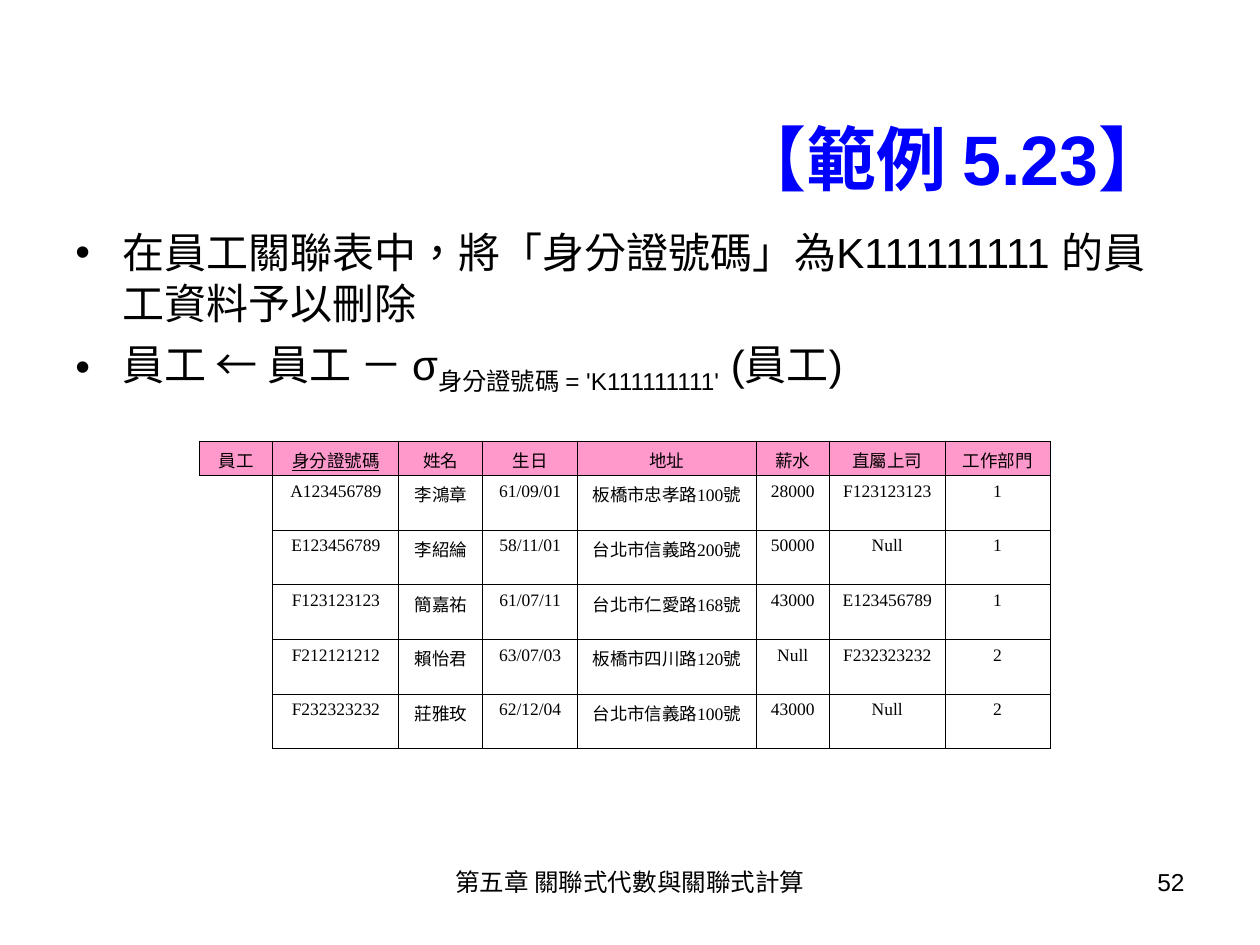
from lxml import etree
from pptx import Presentation
from pptx.dml.color import RGBColor
from pptx.enum.lang import MSO_LANGUAGE_ID
from pptx.enum.text import MSO_ANCHOR, MSO_AUTO_SIZE, PP_ALIGN
from pptx.oxml.ns import qn
from pptx.util import Cm, Pt

CENTER, RIGHT = PP_ALIGN.CENTER, PP_ALIGN.RIGHT
MIDDLE = MSO_ANCHOR.MIDDLE
NO_AUTOFIT = MSO_AUTO_SIZE.NONE
CHINESE = MSO_LANGUAGE_ID.TRADITIONAL_CHINESE
SANS, SERIF = "Arial", "Times New Roman"
BLACK, BLUE, PINK, WHITE = "000000", "0000FF", "FF99CC", "FFFFFF"
HANGING = 0.95

BULLETS = [
    [("在員工關聯表中，將「身分證號碼」為K111111111 的員工資料予以刪除", 0)],
    [("員工 ← 員工 － σ", 0), ("身分證號碼 = 'K111111111'", -25), (" (員工)", 0)],
]
KEY_COLUMN = "身分證號碼"
EMPLOYEES = [
    ["員工", KEY_COLUMN, "姓名", "生日", "地址", "薪水", "直屬上司", "工作部門"],
    ["", "A123456789", "李鴻章", "61/09/01", "板橋市忠孝路100號", "28000", "F123123123", "1"],
    ["", "E123456789", "李紹綸", "58/11/01", "台北市信義路200號", "50000", "Null", "1"],
    ["", "F123123123", "簡嘉祐", "61/07/11", "台北市仁愛路168號", "43000", "E123456789", "1"],
    ["", "F212121212", "賴怡君", "63/07/03", "板橋市四川路120號", "Null", "F232323232", "2"],
    ["", "F232323232", "莊雅玫", "62/12/04", "台北市信義路100號", "43000", "Null", "2"],
]
COLUMN_WIDTHS = [1.48, 2.54, 1.69, 1.91, 3.6, 1.48, 2.33, 2.12]
HEADER_HEIGHT, ROW_HEIGHT = 0.69, 1.09


def rgb(color):
    return RGBColor.from_string(color)


def add_text(p, text, size=24, font=SANS, color=BLACK, bold=False,
             underline=False, baseline=0):
    r = p.add_run()
    r.text = text
    r.font.size = Pt(size)
    r.font.name = font
    r.font.bold = bold
    r.font.underline = underline
    r.font.color.rgb = rgb(color)
    r.font.language_id = CHINESE
    if baseline:
        r._r.get_or_add_rPr().set("baseline", str(baseline * 1000))


def set_hanging_indent(p):
    pPr = p._p.get_or_add_pPr()
    pPr.set("marL", str(Cm(HANGING)))
    pPr.set("indent", str(-Cm(HANGING)))
    return pPr


def add_bullet(p):
    pPr = set_hanging_indent(p)
    color = etree.SubElement(pPr, qn("a:buClr"))
    etree.SubElement(color, qn("a:srgbClr"), val=BLACK)
    etree.SubElement(pPr, qn("a:buFont"), typeface=SANS)
    etree.SubElement(pPr, qn("a:buChar"), char="•")


def add_box(s, left, top, width, height):
    sp = s.shapes.add_textbox(Cm(left), Cm(top), Cm(width), Cm(height))
    sp.text_frame.word_wrap = True
    return sp.text_frame


def add_title(s, text):
    sp = s.shapes.title
    sp.left, sp.top, sp.width, sp.height = Cm(1.27), Cm(2.33), Cm(22.86), Cm(1.7)
    tf = sp.text_frame
    tf.auto_size = NO_AUTOFIT
    tf.vertical_anchor = MIDDLE
    p = tf.paragraphs[0]
    p.alignment = RIGHT
    add_text(p, text, size=40, color=BLUE, bold=True)


def add_bullets(s):
    tf = add_box(s, 1.27, 4.45, 22.86, 13.76)
    for i, parts in enumerate(BULLETS):
        p = tf.add_paragraph() if i else tf.paragraphs[0]
        if i:
            p.space_before = Pt(6)
        add_bullet(p)
        for text, baseline in parts:
            add_text(p, text, baseline=baseline)


def add_footer(s, text, left, width, alignment):
    p = add_box(s, left, 17.35, width, 1.32).paragraphs[0]
    p.alignment = alignment
    add_text(p, text, size=14)


def set_borders(cell, sides):
    """Draw the sides named by the letters L, R, T, B and hide the others."""
    tcPr = cell._tc.get_or_add_tcPr()
    for i, side in enumerate("LRTB"):
        ln = etree.Element(qn(f"a:ln{side}"), w=str(Pt(0.45)))
        if side in sides:
            fill = etree.SubElement(ln, qn("a:solidFill"))
            etree.SubElement(fill, qn("a:srgbClr"), val=BLACK)
        else:
            etree.SubElement(ln, qn("a:noFill"))
        tcPr.insert(i, ln)


def fill_cell(cell, text, color):
    cell.fill.solid()
    cell.fill.fore_color.rgb = rgb(color)
    set_borders(cell, "LRTB")
    p = cell.text_frame.paragraphs[0]
    set_hanging_indent(p)
    p.alignment = CENTER
    add_text(p, text, size=10, font=SERIF, underline=text == KEY_COLUMN)


def add_employee_table(s):
    heights = [HEADER_HEIGHT] + [ROW_HEIGHT] * (len(EMPLOYEES) - 1)
    table = s.shapes.add_table(
        len(EMPLOYEES), len(COLUMN_WIDTHS), Cm(4.02), Cm(8.89),
        Cm(sum(COLUMN_WIDTHS)), Cm(sum(heights))).table
    table.first_row = table.horz_banding = False
    for column, width in zip(table.columns, COLUMN_WIDTHS):
        column.width = Cm(width)
    for i, (row, height) in enumerate(zip(table.rows, heights)):
        row.height = Cm(height)
        for cell, text in zip(row.cells, EMPLOYEES[i]):
            if text:
                fill_cell(cell, text, WHITE if i else PINK)
            else:
                cell.fill.background()
                set_borders(cell, "RT" if i == 1 else "R")


def main():
    prs = Presentation()
    prs.slide_width, prs.slide_height = Cm(25.4), Cm(19.05)
    s = prs.slides.add_slide(prs.slide_layouts[5])
    add_footer(s, "第五章 關聯式代數與關聯式計算", 8.68, 8.04, CENTER)
    add_footer(s, "52", 18.2, 5.93, RIGHT)
    add_title(s, "【範例 5.23】 ")
    add_bullets(s)
    add_employee_table(s)
    prs.save("out.pptx")


if __name__ == "__main__":
    main()
